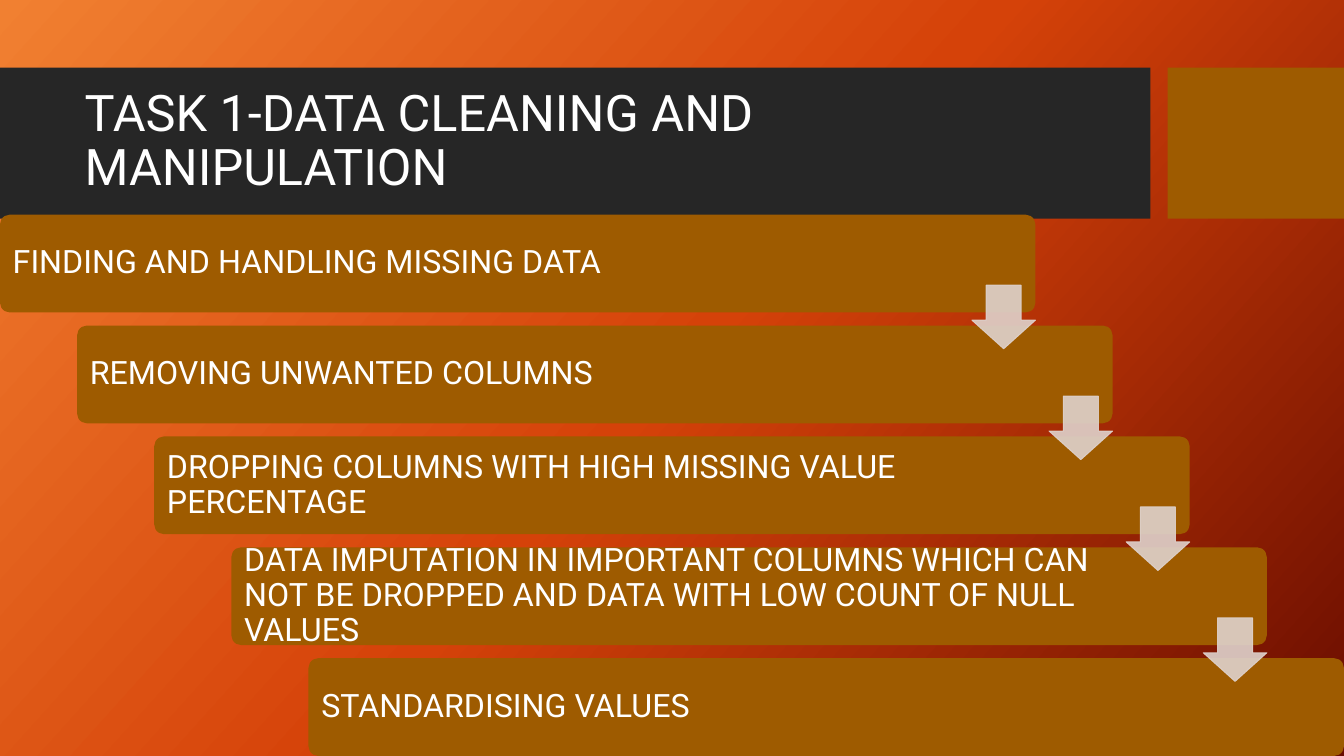
from copy import deepcopy
from dataclasses import dataclass

from pptx import Presentation
from pptx.dml.color import RGBColor
from pptx.enum.shapes import MSO_SHAPE as Shape
from pptx.enum.text import MSO_ANCHOR as Anchor, PP_ALIGN as Align
from pptx.oxml.ns import qn
from pptx.util import Inches, Pt
from lxml.etree import SubElement


@dataclass(frozen=True)
class Theme:
    """Colours, font and type sizes of the slide."""
    font: str = "Roboto"
    title_size: int = 36
    step_size: int = 23
    text: str = "FFFFFF"
    banner: str = "262626"
    accent: str = "9E5B00"
    arrow: str = "DFD2CC"
    arrow_alpha: int = 90
    gradient: tuple = ((0, "F18031"), (0.5, "D54209"), (1, "6A0D00"))
    gradient_angle: int = 42


THEME = Theme()
STEPS = (
    "FINDING AND HANDLING MISSING DATA",
    "REMOVING UNWANTED COLUMNS",
    "DROPPING COLUMNS WITH HIGH MISSING VALUE PERCENTAGE",
    "DATA IMPUTATION IN IMPORTANT COLUMNS WHICH CAN NOT BE DROPPED "
    "AND DATA WITH LOW COUNT OF NULL VALUES",
    "STANDARDISING VALUES",
)


def paint_background(slide):
    """Fill the slide with the diagonal three-colour gradient."""
    fill = slide.background.fill
    fill.gradient()
    fill.gradient_angle = 360 - THEME.gradient_angle
    stop_list = slide.element.find(".//" + qn("a:gsLst"))
    stop_list.append(deepcopy(stop_list[0]))
    for stop, (position, color) in zip(fill.gradient_stops, THEME.gradient):
        stop.position = position
        stop.color.rgb = RGBColor.from_string(color)


def add_block(slide, kind, box, color):
    """Add a flat, borderless shape in the box (left, top, width, height)."""
    shape = slide.shapes.add_shape(kind, *map(Inches, box))
    shape.shadow.inherit = False
    shape.fill.solid()
    shape.fill.fore_color.rgb = RGBColor.from_string(color)
    shape.line.fill.background()
    return shape


def write_text(shape, text, size):
    """Set left-aligned, vertically centred text in the theme font."""
    frame = shape.text_frame
    frame.text = text
    frame.word_wrap = True
    frame.vertical_anchor = Anchor.MIDDLE
    paragraph = frame.paragraphs[0]
    paragraph.alignment = Align.LEFT
    paragraph.line_spacing = 0.9
    font = paragraph.runs[0].font
    font.name = THEME.font
    font.size = Pt(size)
    font.color.rgb = RGBColor.from_string(THEME.text)


def add_header(slide, box, text):
    """Place the dark banner, its accent block and the title."""
    left, top, width, height = box
    accent_width, gap = 1.75, 0.17
    banner_width = width - accent_width - gap
    banner = add_block(slide, Shape.RECTANGLE, (left, top, banner_width, height), THEME.banner)
    accent_left = left + width - accent_width
    add_block(slide, Shape.RECTANGLE, (accent_left, top, accent_width, height), THEME.accent)
    title = slide.shapes.title
    title.left, title.top = banner.left + Inches(0.74), banner.top + Inches(0.15)
    title.width, title.height = Inches(10.51), Inches(1.18)
    write_text(title, text, THEME.title_size)
    banner.element.getparent().append(title.element)


def add_arrow(slide, box):
    """Add a translucent down arrow in the box."""
    arrow = add_block(slide, Shape.DOWN_ARROW, box, THEME.arrow)
    arrow.adjustments[0], arrow.adjustments[1] = 0.55, 0.45
    arrow.line.color.rgb = RGBColor.from_string(THEME.arrow)
    arrow.line.width = Pt(0.75)
    for color in arrow.element.spPr.iter(qn("a:srgbClr")):
        SubElement(color, qn("a:alpha"), val=str(THEME.arrow_alpha * 1000))


def add_staircase(slide, box, steps):
    """Place the steps from top left to bottom right, with arrows between them."""
    left, top, width, height = box
    step_width, step_height, arrow_size = 10.27, 0.97, 0.63
    shift = (width - step_width) / (len(steps) - 1)
    pitch = (height - step_height) / (len(steps) - 1)
    for index, text in enumerate(steps):
        corner = (left + index * shift, top + index * pitch)
        step = add_block(slide, Shape.ROUNDED_RECTANGLE, (*corner, step_width, step_height), THEME.accent)
        step.adjustments[0] = 0.1
        write_text(step, text, THEME.step_size)
        step.text_frame.margin_left = Inches(0.1)
        step.text_frame.margin_right = Inches(1.5)
    for index in range(len(steps) - 1):
        arrow_left = left + index * shift + step_width - arrow_size
        add_arrow(slide, (arrow_left, top + index * pitch + 0.7, arrow_size, arrow_size))


def main():
    """Build the slide and save the presentation."""
    presentation = Presentation()
    presentation.slide_width, presentation.slide_height = Inches(13.33), Inches(7.5)
    slide = presentation.slides.add_slide(presentation.slide_layouts[5])
    paint_background(slide)
    add_header(slide, (0, 0.67, 13.33, 1.5), "TASK 1-DATA CLEANING AND MANIPULATION")
    add_staircase(slide, (0, 2.13, 13.33, 5.37), STEPS)
    presentation.save("out.pptx")


if __name__ == "__main__":
    main()
